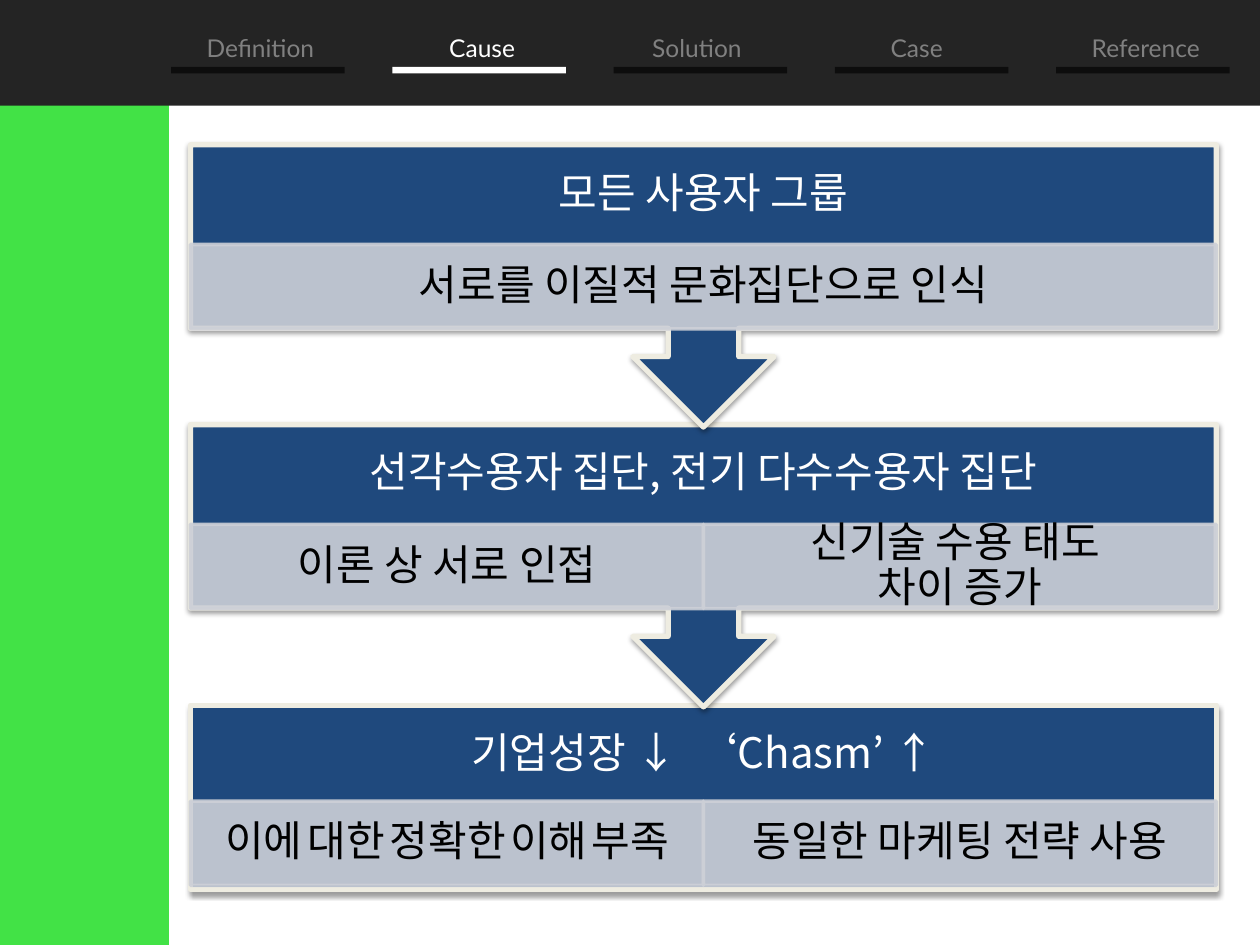
import pptx
import pptx.dml.color
import pptx.enum.shapes
import pptx.enum.text
import pptx.oxml
import pptx.oxml.ns
import pptx.util
from lxml import etree

Cm = pptx.util.Cm
Pt = pptx.util.Pt
qn = pptx.oxml.ns.qn
Shape = pptx.enum.shapes.MSO_SHAPE

KOREAN_FONT = "Noto Sans CJK KR"
STAGE_LEFT, STAGE_WIDTH = 3.84, 20.68
CALLOUT_HEIGHT, CELL_HEIGHT = 5.69, 1.7

# Label, label centre
TABS = [("Definition", 5.25), ("Cause", 9.72), ("Solution", 14.05),
        ("Case", 18.48), ("Reference", 23.1)]
ACTIVE_TAB = "Cause"

# Top, title height, title, cells
STAGES = [
    (2.92, 2.01, "모든 사용자 그룹", ["서로를 이질적 문화집단으로 인식"]),
    (8.56, 2.01, "선각수용자 집단, 전기 다수수용자 집단",
     ["이론 상 서로 인접", "신기술 수용 태도 \n차이 증가"]),
    (14.22, 1.93, "기업성장 ↓  ‘Chasm’ ↑",
     ["이에 대한 정확한 이해 부족", "동일한 마케팅 전략 사용"]),
]
# Narrowed word gaps, in points, for the text that must fit on one line
NARROW_GAPS = {"이에 대한 정확한 이해 부족": [14, 12, 11, 10]}


def rgb(color):
    return pptx.dml.color.RGBColor.from_string(color)


def add_box(slide, kind, left, top, width, height, fill, line=None, points=0):
    shape = slide.shapes.add_shape(kind, Cm(left), Cm(top), Cm(width), Cm(height))
    shape.shadow.inherit = False
    shape.fill.solid()
    shape.fill.fore_color.rgb = rgb(fill)
    if line:
        shape.line.color.rgb = rgb(line)
        shape.line.width = Pt(points)
    else:
        shape.line.fill.background()
    return shape


def set_opacity(shape, percent):
    for color in shape.element.spPr.iter(qn("a:srgbClr")):
        etree.SubElement(color, qn("a:alpha"), val=str(percent * 1000))


def add_shadow(shape):
    effects = shape.element.spPr.find(qn("a:effectLst"))
    effects.append(pptx.oxml.parse_xml(
        f'<a:outerShdw {pptx.oxml.ns.nsdecls("a")} blurRad="39370" dist="20320" '
        'dir="5400000" rotWithShape="0"><a:srgbClr val="000000">'
        '<a:alpha val="38000"/></a:srgbClr></a:outerShdw>'))


def write_text(shape, text, size, color, font, inset_x, inset_y, spacing=1.0):
    frame = shape.text_frame
    frame.word_wrap = True
    frame.vertical_anchor = pptx.enum.text.MSO_ANCHOR.MIDDLE
    frame.margin_left = frame.margin_right = Cm(inset_x)
    frame.margin_top = frame.margin_bottom = Cm(inset_y)
    paragraph = frame.paragraphs[0]
    paragraph.alignment = pptx.enum.text.PP_ALIGN.CENTER
    paragraph.line_spacing = spacing
    paragraph.font.size = Pt(size)
    paragraph.font.name = font
    paragraph.font.color.rgb = rgb(color)
    latin = next(paragraph._p.iter(qn("a:latin")))
    latin.addnext(latin.makeelement(qn("a:ea"), {"typeface": font}))
    if text not in NARROW_GAPS:
        paragraph.text = text
        return
    words = text.split(" ")
    paragraph.add_run().text = words[0]
    for gap, word in zip(NARROW_GAPS[text], words[1:]):
        space = paragraph.add_run()
        space.text = " "
        space.font.size = Pt(gap)
        paragraph.add_run().text = word


def add_label(slide, left, top, width, height, *text_style):
    box = slide.shapes.add_textbox(Cm(left), Cm(top), Cm(width), Cm(height))
    write_text(box, *text_style)


def add_navigation(slide):
    add_box(slide, Shape.RECTANGLE, 0, 0, 25.4, 2.13, "242424")
    for index, (label, center) in enumerate(TABS):
        active = label == ACTIVE_TAB
        add_box(slide, Shape.RECTANGLE, 3.45 + 4.46 * index, 1.35, 3.5, 0.13,
                "FFFFFF" if active else "0D0D0D")
        add_label(slide, center - 1.75, 0.53, 3.5, 0.86, label, 14,
                  "FFFFFF" if active else "808080", "Lato", 0.25, 0.13)


def add_stage(slide, top, title_height, title, cells, is_last):
    # Frame, with an arrow to the next stage
    kind = Shape.RECTANGLE if is_last else Shape.UP_ARROW_CALLOUT
    height = 3.71 if is_last else CALLOUT_HEIGHT
    frame = add_box(slide, kind, STAGE_LEFT, top, STAGE_WIDTH, height,
                    "1F497D", "EEECE1", 3)
    frame.rotation = 0 if is_last else 180
    add_shadow(frame)
    add_label(slide, STAGE_LEFT, top, STAGE_WIDTH, 2.0, title, 24, "FFFFFF",
              KOREAN_FONT, 0.48, 0.48, 0.9)

    # Cells of equal width below the title
    width = STAGE_WIDTH / len(cells)
    for index, text in enumerate(cells):
        cell = add_box(slide, Shape.RECTANGLE, STAGE_LEFT + index * width,
                       top + title_height, width, CELL_HEIGHT,
                       "CDD0D7", "CDD0D7", 2)
        set_opacity(cell, 90)
        inset = 0.2 if text in NARROW_GAPS else 0.48
        write_text(cell, text, 24, "000000", KOREAN_FONT, inset, 0.08, 0.9)


def main():
    presentation = pptx.Presentation()
    presentation.slide_width, presentation.slide_height = Cm(25.4), Cm(19.05)
    slide = presentation.slides.add_slide(presentation.slide_layouts[6])

    # Background and content panel
    slide.background.fill.solid()
    slide.background.fill.fore_color.rgb = rgb("42E246")
    add_box(slide, Shape.RECTANGLE, 3.45, 2.13, 21.95, 16.99, "FFFFFF", "FFFFFF", 2)

    add_navigation(slide)

    # Last stage first, so that each arrow lies over the stage below it
    for stage in reversed(STAGES):
        add_stage(slide, *stage, is_last=stage is STAGES[-1])

    presentation.save("out.pptx")


if __name__ == "__main__":
    main()
